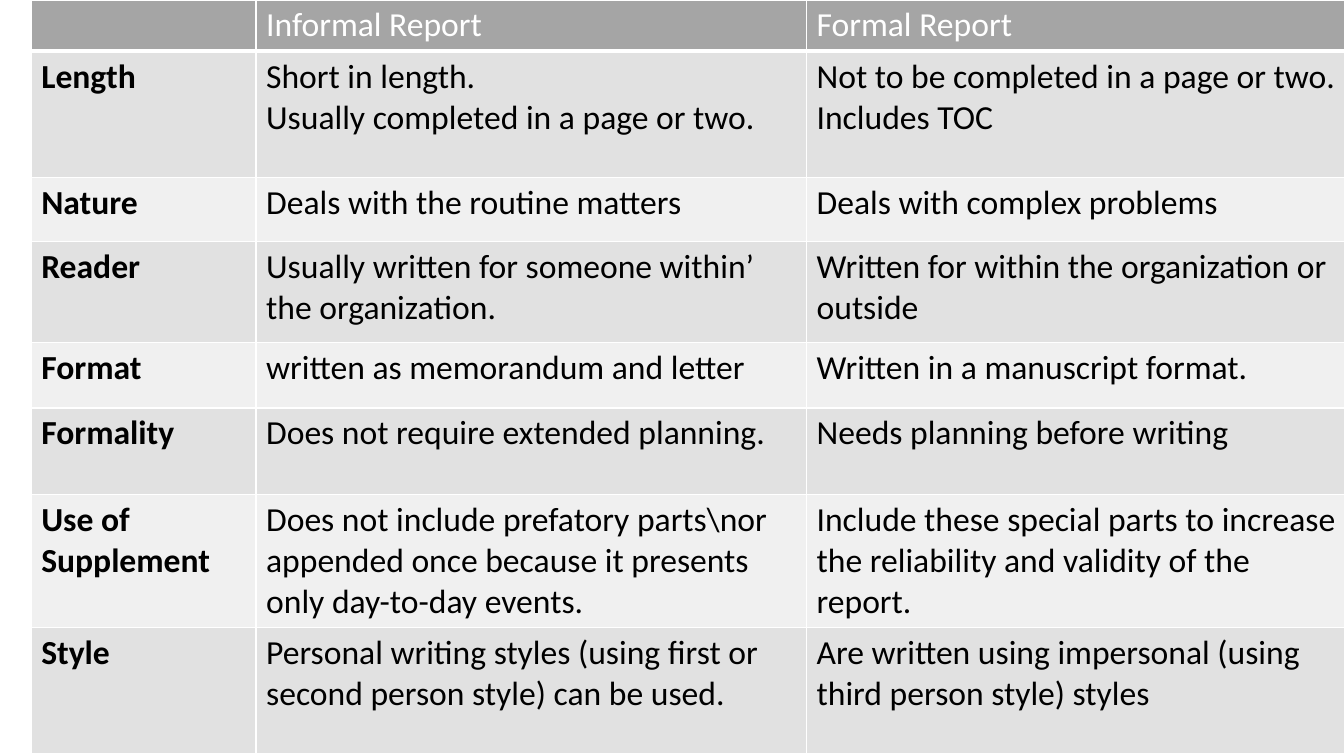
from pptx import Presentation
from pptx.dml.color import RGBColor
from pptx.oxml.ns import qn
from pptx.util import Inches, Pt
from lxml.etree import SubElement


def rgb(value):
    return RGBColor.from_string(value)


def add_border(cell, side, color, width):
    ln = SubElement(cell._tc.get_or_add_tcPr(), qn(f"a:ln{side}"), w=str(Pt(width)))
    SubElement(SubElement(ln, qn("a:solidFill")), qn("a:srgbClr"), val=color)


rows = [
    ("", "Informal Report", "Formal Report"),
    ("Length", "Short in length.\nUsually completed in a page or two.",
     "Not to be completed in a page or two. Includes TOC"),
    ("Nature", "Deals with the routine matters", "Deals with complex problems"),
    ("Reader", "Usually written for someone within’ the organization.",
     "Written for within the organization or outside"),
    ("Format", "written as memorandum and letter", "Written in a manuscript format."),
    ("Formality", "Does not require extended planning.", "Needs planning before writing"),
    ("Use of Supplement",
     r"Does not include prefatory parts\nor appended once because it presents only day-to-day events.",
     "Include these special parts to increase the reliability and validity of the report."),
    ("Style", "Personal writing styles (using first or second person style) can be used.",
     "Are written using impersonal (using third person style) styles"),
]
col_widths = [2.23, 5.46, 5.35]
row_heights = [0.5, 1.25, 0.64, 1, 0.65, 0.86, 1.32, 1.25]

prs = Presentation()
prs.slide_width, prs.slide_height = Inches(13.33), Inches(7.5)
s = prs.slides.add_slide(prs.slide_layouts[6])

table = s.shapes.add_table(len(rows), len(col_widths), Inches(0.31), 0,
                           Inches(sum(col_widths)), Inches(sum(row_heights))).table
for col, width in zip(table.columns, col_widths):
    col.width = Inches(width)
for row, height in zip(table.rows, row_heights):
    row.height = Inches(height)

for i, texts in enumerate(rows):
    header = i == 0
    fill = "A5A5A5" if header else "E1E1E1" if i % 2 else "F0F0F0"
    for j, text in enumerate(texts):
        cell = table.cell(i, j)
        for side in "LRTB":
            add_border(cell, side, "FFFFFF", 3 if header and side == "B" else 1)
        cell.fill.solid()
        cell.fill.fore_color.rgb = rgb(fill)
        cell.text_frame.text = text
        for p in cell.text_frame.paragraphs:
            p.font.size = Pt(24)
            for r in p.runs:
                r.font.name = "Calibri"
                r.font.size = Pt(24)
                r.font.bold = j == 0
                r.font.color.rgb = rgb("FFFFFF" if header else "000000")

prs.save("out.pptx")
